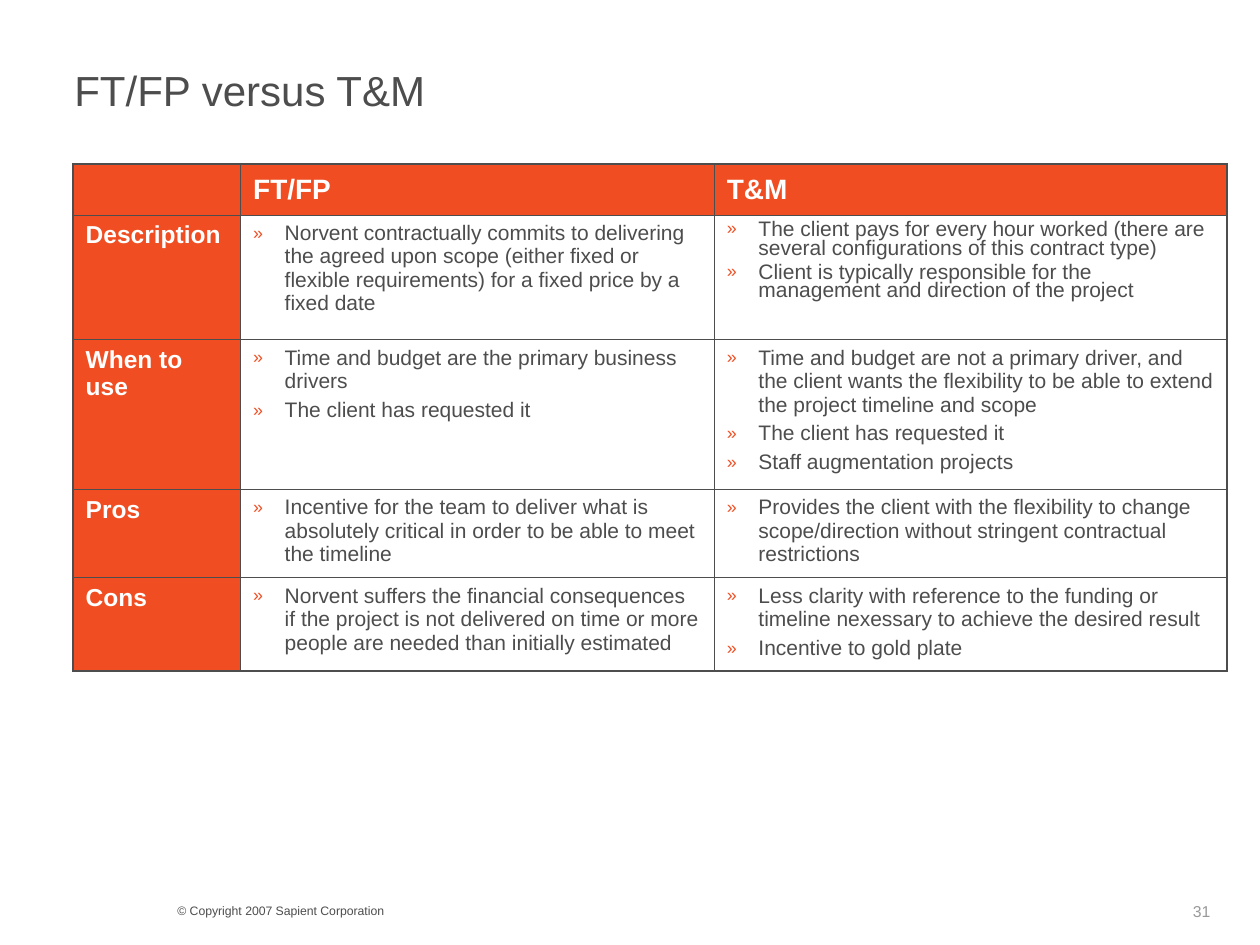
from lxml import etree
from pptx import Presentation
from pptx.dml.color import RGBColor
from pptx.enum.text import MSO_ANCHOR, PP_ALIGN
from pptx.oxml.ns import qn
from pptx.util import Inches, Pt

LEFT = PP_ALIGN.LEFT
TOP, MIDDLE = MSO_ANCHOR.TOP, MSO_ANCHOR.MIDDLE
FONT = "Arial"
GREY, ORANGE, WHITE, PALE = "4D4D4D", "F04E22", "FFFFFF", "999999"
THIN, THICK = 0.45, 1.08

COLS = [1.33, 3.76, 4.07]
ROWS = [0.4, 0.99, 1.19, 0.7, 0.74]
HEADS = ["FT/FP", "T&M"]
BODY = [
    ("Description",
     ["Norvent contractually commits to delivering the agreed upon scope "
      "(either fixed or flexible requirements) for a fixed price by a fixed date"],
     ["The client pays for every hour worked (there are several "
      "configurations of this contract type)",
      "Client is typically responsible for the management and direction "
      "of the project"]),
    ("When to use",
     ["Time and budget are the primary business drivers",
      "The client has requested it"],
     ["Time and budget are not a primary driver, and the client wants the "
      "flexibility to be able to extend the project timeline and scope",
      "The client has requested it",
      "Staff augmentation projects"]),
    ("Pros",
     ["Incentive for the team to deliver what is absolutely critical in "
      "order to be able to meet the timeline"],
     ["Provides the client with the flexibility to change scope/direction "
      "without stringent contractual restrictions"]),
    ("Cons",
     ["Norvent suffers the financial consequences if the project is not "
      "delivered on time or more people are needed than initially estimated"],
     ["Less clarity with reference to the funding or timeline nexessary to "
      "achieve the desired result",
      "Incentive to gold plate"]),
]


def rgb(color):
    return RGBColor.from_string(color)


def add_run(p, text, size, color, bold=False):
    p.alignment = LEFT
    r = p.add_run()
    r.text = text
    r.font.name, r.font.size, r.font.bold = FONT, Pt(size), bold
    r.font.color.rgb = rgb(color)


def add_bullet(p):
    pPr = p._p.get_or_add_pPr()
    pPr.set("marL", str(Inches(0.25)))
    pPr.set("indent", str(-Inches(0.25)))
    clr = etree.SubElement(pPr, qn("a:buClr"))
    etree.SubElement(clr, qn("a:srgbClr"), val=ORANGE)
    etree.SubElement(pPr, qn("a:buSzPct"), val="85000")
    etree.SubElement(pPr, qn("a:buFont"), typeface=FONT)
    etree.SubElement(pPr, qn("a:buChar"), char="»")


def set_borders(cell, widths):
    """Draw the left, right, top and bottom lines, in that order."""
    tcPr = cell._tc.get_or_add_tcPr()
    for i, (side, width) in enumerate(zip("LRTB", widths)):
        ln = etree.Element(qn(f"a:ln{side}"), w=str(Pt(width)))
        fill = etree.SubElement(ln, qn("a:solidFill"))
        etree.SubElement(fill, qn("a:srgbClr"), val=GREY)
        tcPr.insert(i, ln)


def fill_cell(cell, texts, size, color, bold=False, bullets=False, spacing=None):
    for i, text in enumerate(texts):
        tf = cell.text_frame
        p = tf.add_paragraph() if i else tf.paragraphs[0]
        if bullets:
            add_bullet(p)
        if i:
            p.space_before = Pt(3)
        if spacing:
            p.line_spacing = spacing
        add_run(p, text, size, color, bold)


def add_comparison(slide, x, y):
    frame = slide.shapes.add_table(len(ROWS), len(COLS), Inches(x), Inches(y),
                                   Inches(sum(COLS)), Inches(sum(ROWS)))
    table = frame.table
    table.horz_banding = False
    for col, width in zip(table.columns, COLS):
        col.width = Inches(width)
    for row, height in zip(table.rows, ROWS):
        row.height = Inches(height)

    for c, head in enumerate(HEADS, 1):
        fill_cell(table.cell(0, c), [head], 16, WHITE, bold=True)
    for r, (label, *columns) in enumerate(BODY, 1):
        fill_cell(table.cell(r, 0), [label], 14, WHITE, bold=True)
        for c, points in enumerate(columns, 1):
            tight = 0.8 if (r, c) == (1, 2) else None
            fill_cell(table.cell(r, c), points, 12, GREY, bullets=True,
                      spacing=tight)

    last_row, last_col = len(ROWS) - 1, len(COLS) - 1
    for r in range(len(ROWS)):
        for c in range(len(COLS)):
            cell = table.cell(r, c)
            cell.vertical_anchor = TOP if r else MIDDLE
            cell.fill.solid()
            cell.fill.fore_color.rgb = rgb(WHITE if r and c else ORANGE)
            outer = (c == 0, c == last_col, r == 0, r == last_row)
            set_borders(cell, [THICK if edge else THIN for edge in outer])


def add_title(slide, text, box):
    sp = slide.shapes.title
    sp.left, sp.top, sp.width, sp.height = map(Inches, box)
    tf = sp.text_frame
    tf.vertical_anchor = MIDDLE
    add_run(tf.paragraphs[0], text, 24, GREY)


def add_note(slide, text, box, size, color):
    tf = slide.shapes.add_textbox(*map(Inches, box)).text_frame
    tf.word_wrap = True
    tf.vertical_anchor = MIDDLE
    add_run(tf.paragraphs[0], text, size, color)


def main():
    prs = Presentation()
    prs.slide_width, prs.slide_height = Inches(10), Inches(7.5)
    slide = prs.slides.add_slide(prs.slide_layouts[5])
    add_title(slide, "FT/FP versus T&M", (0.49, 0.44, 9.01, 0.55))
    add_comparison(slide, 0.58, 1.3)
    add_note(slide, "© Copyright 2007 Sapient Corporation",
             (1.31, 7.12, 4, 0.22), 7, GREY)
    add_note(slide, "31", (9.37, 7.11, 0.6, 0.24), 9, PALE)
    prs.save("out.pptx")


if __name__ == "__main__":
    main()
